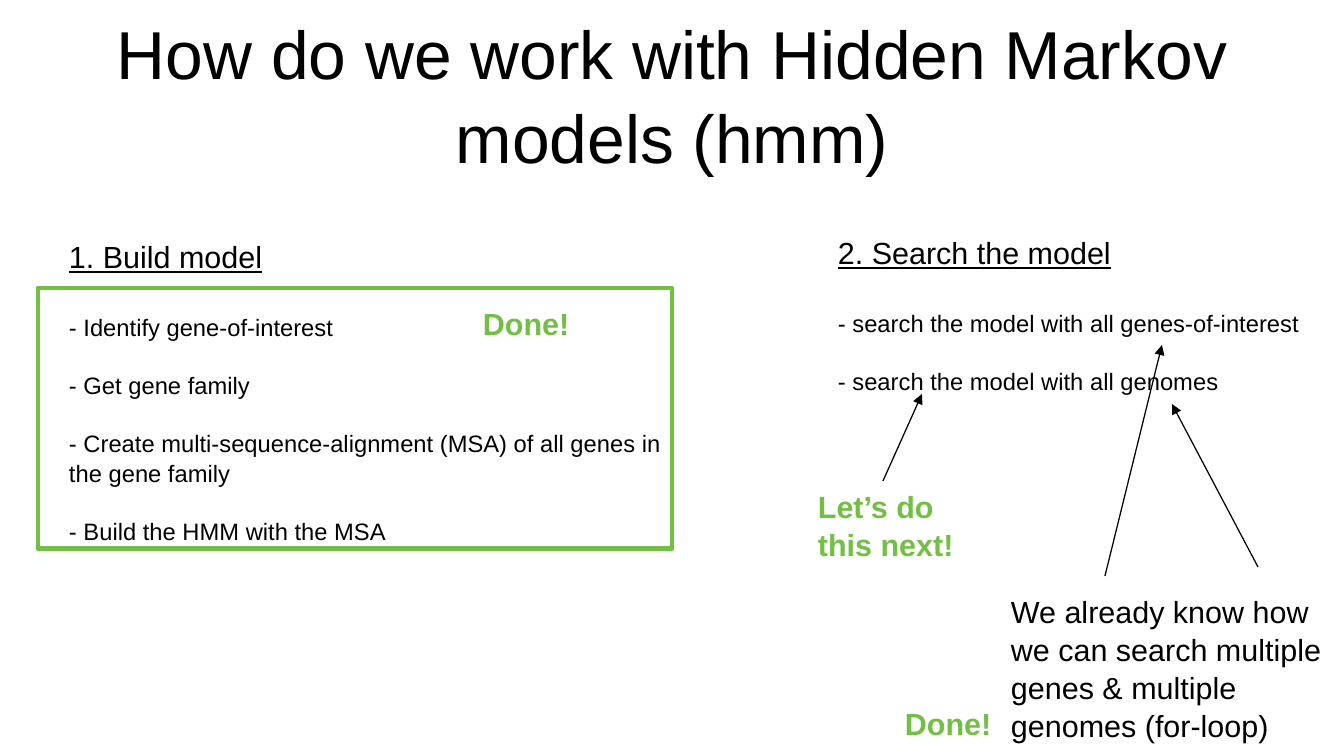
"""Build the slide on working with Hidden Markov models."""
import pptx
import pptx.dml.color
import pptx.enum.shapes
import pptx.enum.text
import pptx.oxml.ns
import pptx.util
from lxml import etree

BLACK = pptx.dml.color.RGBColor(0x00, 0x00, 0x00)
GREEN = pptx.dml.color.RGBColor(0x72, 0xBF, 0x44)
FONT = "Arial"
LINE_SPACING = 1.04
EMU_PER_PX = 914400 / 122
PAGE_SIZE = (1344, 756)
INSET = (12, 6)

TITLE = "How do we work with Hidden Markov models (hmm)"
TITLE_AREA = (67, 30, 1210, 126)
STEPS = [
    ((57, 231, 625, 320), "1. Build model", [
        "- Identify gene-of-interest",
        "- Get gene family",
        "- Create multi-sequence-alignment (MSA) of all genes in the gene family",
        "- Build the HMM with the MSA",
    ]),
    ((826, 227, 625, 320), "2. Search the model", [
        "- search the model with all genes-of-interest",
        "- search the model with all genomes",
    ]),
]
FRAME_AREA = (38, 288, 634, 261)
REMARKS = [
    ((471, 298, 124, 80), "Done!", GREEN, True),
    ((999, 586, 346, 183),
     "We already know how we can search multiple genes & multiple genomes (for-loop)",
     BLACK, False),
    ((893, 698, 124, 80), "Done!", GREEN, True),
    ((806, 481, 164, 115), "Let’s do this next!", GREEN, True),
]
ARROWS = [
    (1105, 576, 1162, 345),
    (1258, 567, 1172, 404),
    (883, 481, 922, 394),
]


def px(lengths):
    """Turn px lengths into EMU."""
    return [pptx.util.Emu(round(length * EMU_PER_PX)) for length in lengths]


def prepare_frame(frame, inset=INSET, anchor=pptx.enum.text.MSO_ANCHOR.TOP):
    """Set wrapping, margins and anchor of a text frame."""
    frame.word_wrap = True
    frame.auto_size = pptx.enum.text.MSO_AUTO_SIZE.NONE
    frame.vertical_anchor = anchor
    frame.margin_left, frame.margin_top = px(inset)
    frame.margin_right, frame.margin_bottom = px(inset)


def write(para, text, size=18, color=BLACK, bold=False, underline=False,
          after=0, align=pptx.enum.text.PP_ALIGN.LEFT):
    """Write formatted text into a paragraph."""
    para.alignment = align
    para.line_spacing = LINE_SPACING
    para.space_before = pptx.util.Pt(0)
    para.space_after = pptx.util.Pt(after)
    span = para.add_run()
    span.text = text
    span.font.name = FONT
    span.font.size = pptx.util.Pt(size)
    span.font.color.rgb = color
    span.font.bold = bold
    span.font.underline = underline


def add_box(page, area):
    """Add an empty text box and return its frame."""
    frame = page.shapes.add_textbox(*px(area)).text_frame
    prepare_frame(frame)
    return frame


def add_title(page):
    """Place and fill the title."""
    title = page.shapes.title
    title.left, title.top, title.width, title.height = px(TITLE_AREA)
    prepare_frame(title.text_frame, (0, 0), pptx.enum.text.MSO_ANCHOR.MIDDLE)
    write(title.text_frame.paragraphs[0], TITLE, size=40,
          align=pptx.enum.text.PP_ALIGN.CENTER)


def add_step(page, area, heading, items):
    """Add an underlined heading with its spaced items."""
    frame = add_box(page, area)
    write(frame.paragraphs[0], heading, underline=True, after=21.6)
    for item in items:
        write(frame.add_paragraph(), item, size=14, after=16.8)


def add_frame(page):
    """Outline the finished steps."""
    outline = page.shapes.add_shape(
        pptx.enum.shapes.MSO_SHAPE.RECTANGLE, *px(FRAME_AREA))
    outline.shadow.inherit = False
    outline.fill.background()
    outline.line.color.rgb = GREEN
    outline.line.width = pptx.util.Pt(2.83)


def add_arrow(page, ends):
    """Add a thin arrow with its head at the far end."""
    arrow = page.shapes.add_connector(
        pptx.enum.shapes.MSO_CONNECTOR.STRAIGHT, *px(ends))
    arrow.line.color.rgb = BLACK
    arrow.line.width = pptx.util.Pt(0.75)
    properties = arrow.element.spPr
    line = properties.find(pptx.oxml.ns.qn("a:ln"))
    etree.SubElement(line, pptx.oxml.ns.qn("a:tailEnd"), type="triangle")
    etree.SubElement(properties, pptx.oxml.ns.qn("a:effectLst"))


def main():
    """Assemble and save the deck."""
    deck = pptx.Presentation()
    deck.slide_width, deck.slide_height = px(PAGE_SIZE)
    page = deck.slides.add_slide(deck.slide_layouts[5])
    add_title(page)
    for step in STEPS:
        add_step(page, *step)
    add_frame(page)
    for area, text, color, bold in REMARKS:
        write(add_box(page, area).paragraphs[0], text, color=color, bold=bold)
    for ends in ARROWS:
        add_arrow(page, ends)
    deck.save("out.pptx")


if __name__ == "__main__":
    main()
